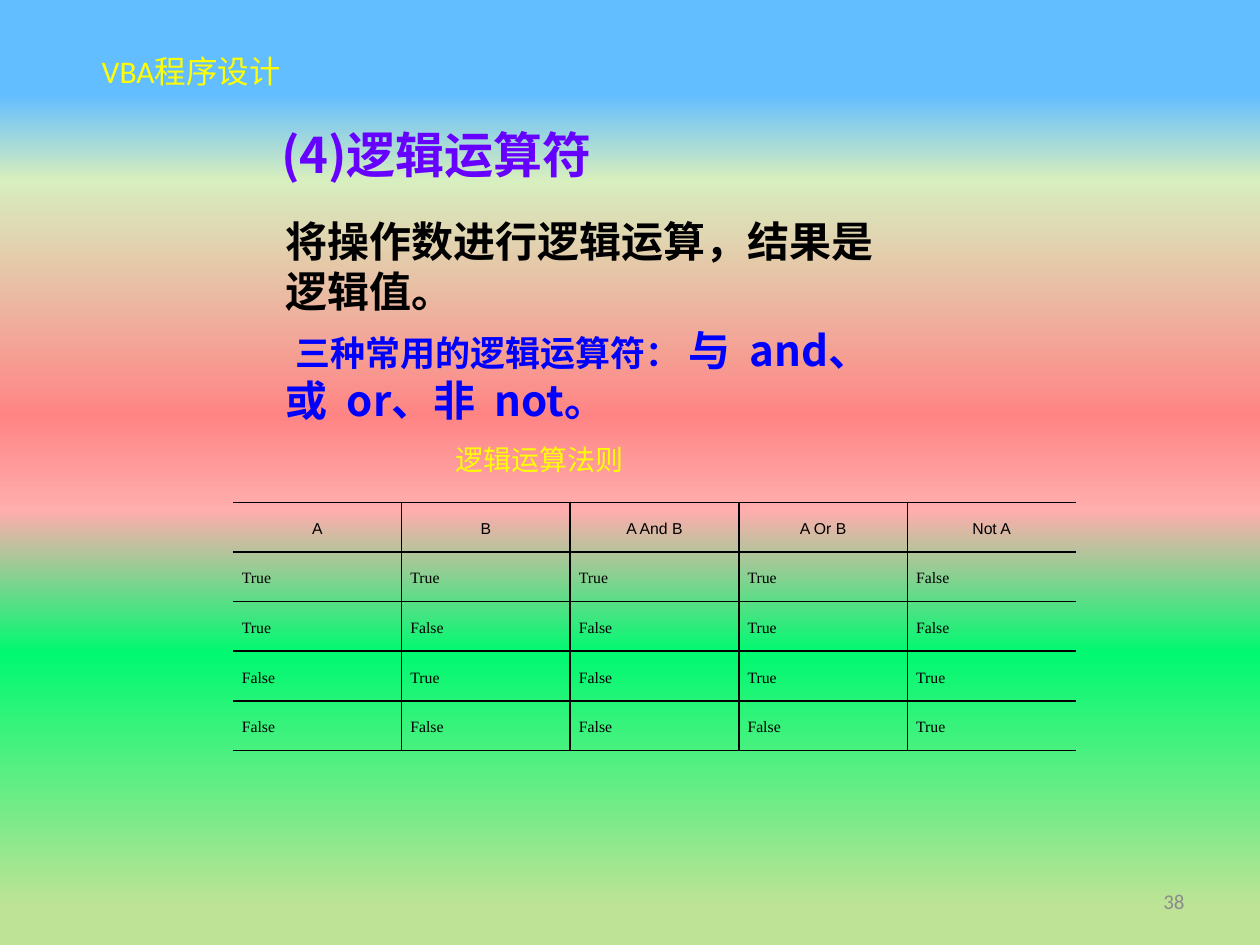
from dataclasses import dataclass

from lxml import etree
from pptx import Presentation
from pptx.dml.color import RGBColor
from pptx.enum.text import MSO_ANCHOR, MSO_AUTO_SIZE, PP_ALIGN
from pptx.oxml.ns import qn
from pptx.util import Pt

TOP, MIDDLE = MSO_ANCHOR.TOP, MSO_ANCHOR.MIDDLE
LEFT, CENTER, RIGHT, JUSTIFY = PP_ALIGN.LEFT, PP_ALIGN.CENTER, PP_ALIGN.RIGHT, PP_ALIGN.JUSTIFY
NO_AUTOFIT = MSO_AUTO_SIZE.NONE
CJK, CALIBRI, ARIAL, TIMES = "Noto Sans CJK SC", "Calibri", "Arial", "Times New Roman"
COLORS = {"black": "000000", "yellow": "FFFF00", "blue": "0000FF", "violet": "6600FF", "gray": "8C8C8C"}
BACKGROUND_STOPS = {10: "63BEFF", 19: "D7EEBE", 44: "FF8585", 54: "FFADAD", 69: "00F971", 96: "BEE396"}
COLUMN_WIDTH, ROW_HEIGHT = 96.34, 28.37


@dataclass
class Box:
    """Position and size in points."""
    left: float
    top: float
    width: float
    height: float

    def lengths(self):
        """Return the four lengths for python-pptx."""
        return [Pt(v) for v in (self.left, self.top, self.width, self.height)]


def add_run(paragraph, text: str, *, size: float, font: str, color: str = "black", bold: bool = False) -> None:
    """Append one formatted run."""
    run = paragraph.add_run()
    run.text = text
    run.font.size, run.font.name, run.font.bold = Pt(size), font, bold
    run.font.color.rgb = RGBColor.from_string(COLORS[color])
    etree.SubElement(run._r.get_or_add_rPr(), qn("a:ea")).set("typeface", CJK)


def format_paragraph(paragraph, *, align=LEFT, before: float = 0, after: float = 0, spacing=None) -> None:
    """Set alignment and spacing of a paragraph."""
    paragraph.alignment = align
    paragraph.space_before, paragraph.space_after = Pt(before), Pt(after)
    paragraph.line_spacing = spacing


def prepare_frame(shape, anchor=TOP):
    """Make a shape's text wrap at its set size and return its frame."""
    frame = shape.text_frame
    frame.word_wrap, frame.auto_size, frame.vertical_anchor = True, NO_AUTOFIT, anchor
    return frame


def add_text(slide, box: Box, text: str, *, align=LEFT, anchor=TOP, **run_format) -> None:
    """Add a text box with one run."""
    frame = prepare_frame(slide.shapes.add_textbox(*box.lengths()), anchor)
    format_paragraph(frame.paragraphs[0], align=align)
    add_run(frame.paragraphs[0], text, **run_format)


def paint_background(slide) -> None:
    """Fill the background with a vertical gradient."""
    fill = slide.background.fill
    fill.gradient()
    fill.gradient_angle = 270
    stops = slide._element.find(".//" + qn("a:gsLst"))
    for stop in list(stops):
        stops.remove(stop)
    for percent, color in BACKGROUND_STOPS.items():
        stop = etree.SubElement(stops, qn("a:gs"), pos=str(percent * 1000))
        etree.SubElement(stop, qn("a:srgbClr"), val=color)


def set_borders(cell, visible: dict[str, bool]) -> None:
    """Draw the visible cell sides in black and clear the others."""
    properties = cell._tc.get_or_add_tcPr()
    for index, (side, shown) in enumerate(visible.items()):
        line = etree.Element(qn(f"a:ln{side}"), w=str(Pt(1)))
        if shown:
            fill = etree.SubElement(line, qn("a:solidFill"))
            etree.SubElement(fill, qn("a:srgbClr"), val=COLORS["black"])
        else:
            etree.SubElement(line, qn("a:noFill"))
        properties.insert(index, line)


def add_truth_table(slide, left: float, top: float) -> None:
    """Add the truth table of the logical operators."""
    rows = [["A", "B", "A And B", "A Or B", "Not A"]]
    for a in (True, False):
        for b in (True, False):
            rows.append([str(value) for value in (a, b, a and b, a or b, not a)])
    count = len(rows[0])
    box = Box(left, top, COLUMN_WIDTH * count, ROW_HEIGHT * len(rows))
    table = slide.shapes.add_table(len(rows), count, *box.lengths()).table
    table.first_row = table.horz_banding = False
    for column in table.columns:
        column.width = Pt(COLUMN_WIDTH)
    for r, values in enumerate(rows):
        table.rows[r].height = Pt(ROW_HEIGHT)
        header = r == 0
        gap = 2.5 if header else 2
        for c, value in enumerate(values):
            cell = table.cell(r, c)
            cell.fill.background()
            cell.vertical_anchor = MIDDLE
            cell.margin_left = cell.margin_right = Pt(5)
            cell.margin_top = cell.margin_bottom = Pt(0)
            paragraph = cell.text_frame.paragraphs[0]
            format_paragraph(paragraph, align=CENTER if header else JUSTIFY,
                             before=gap, after=gap, spacing=Pt(12))
            add_run(paragraph, value, size=9, font=ARIAL if header else TIMES)
            set_borders(cell, {"L": c > 0, "R": c < count - 1, "T": True, "B": True})


def add_heading(slide) -> None:
    """Move and format the title placeholder."""
    title = slide.shapes.title
    title.left, title.top, title.width, title.height = Box(139, 71.3, 225, 38).lengths()
    paragraph = prepare_frame(title).paragraphs[0]
    format_paragraph(paragraph, before=5.6, spacing=0.9)
    paragraph._p.get_or_add_pPr().set("marL", str(Pt(14.4)))
    add_run(paragraph, "(4)逻辑运算符", size=28, font=CJK, color="violet", bold=True)


def add_explanation(slide) -> None:
    """Add the description of the logical operators."""
    frame = prepare_frame(slide.shapes.add_textbox(*Box(156.2, 119.5, 360, 129.6).lengths()))
    purpose, operators = frame.paragraphs[0], frame.add_paragraph()
    for paragraph in (purpose, operators):
        format_paragraph(paragraph, before=4.8)
    add_run(purpose, "将操作数进行逻辑运算，结果是逻辑值。", size=24, font=CJK, bold=True)
    for text, size in ((" ", 24), ("三种常用的逻辑运算符： ", 20), ("与  and、或  or、非  not。", 24)):
        add_run(operators, text, size=size, font=CJK, color="blue", bold=True)


def main() -> None:
    """Build and save the slide."""
    deck = Presentation()
    deck.slide_width, deck.slide_height = Pt(720), Pt(540)
    slide = deck.slides.add_slide(deck.slide_layouts[5])
    paint_background(slide)
    add_text(slide, Box(51, 26, 118, 29), "VBA程序设计", size=18, font=CALIBRI, color="yellow")
    add_text(slide, Box(516, 500.5, 168, 28.8), "38", align=RIGHT, anchor=MIDDLE,
             size=12, font=CALIBRI, color="gray")
    add_explanation(slide)
    add_heading(slide)
    add_truth_table(slide, 133.2, 287.1)
    add_text(slide, Box(249.8, 249.1, 120, 28.8), " 逻辑运算法则", size=16, font=TIMES, color="yellow")
    deck.save("out.pptx")


main()
